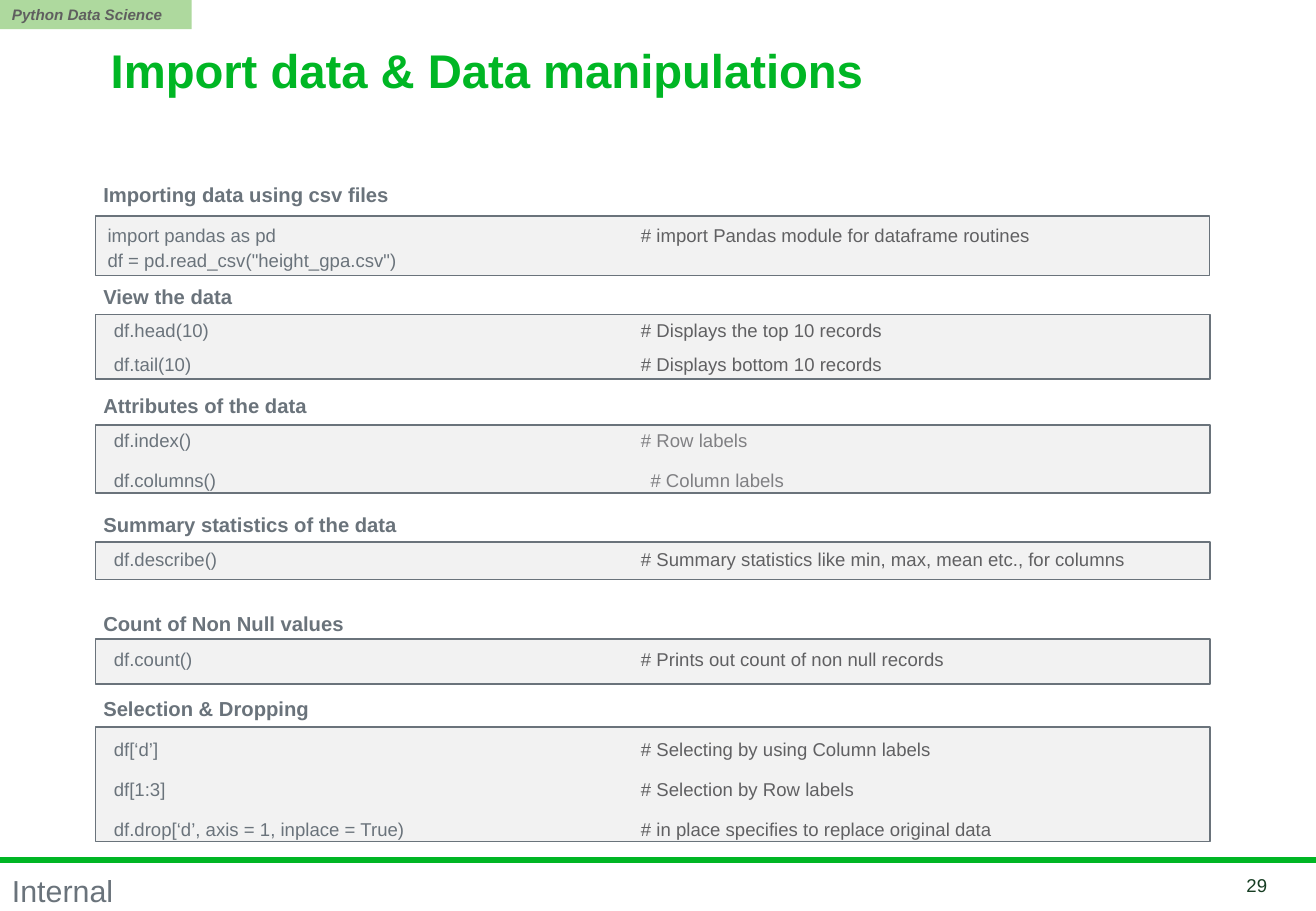
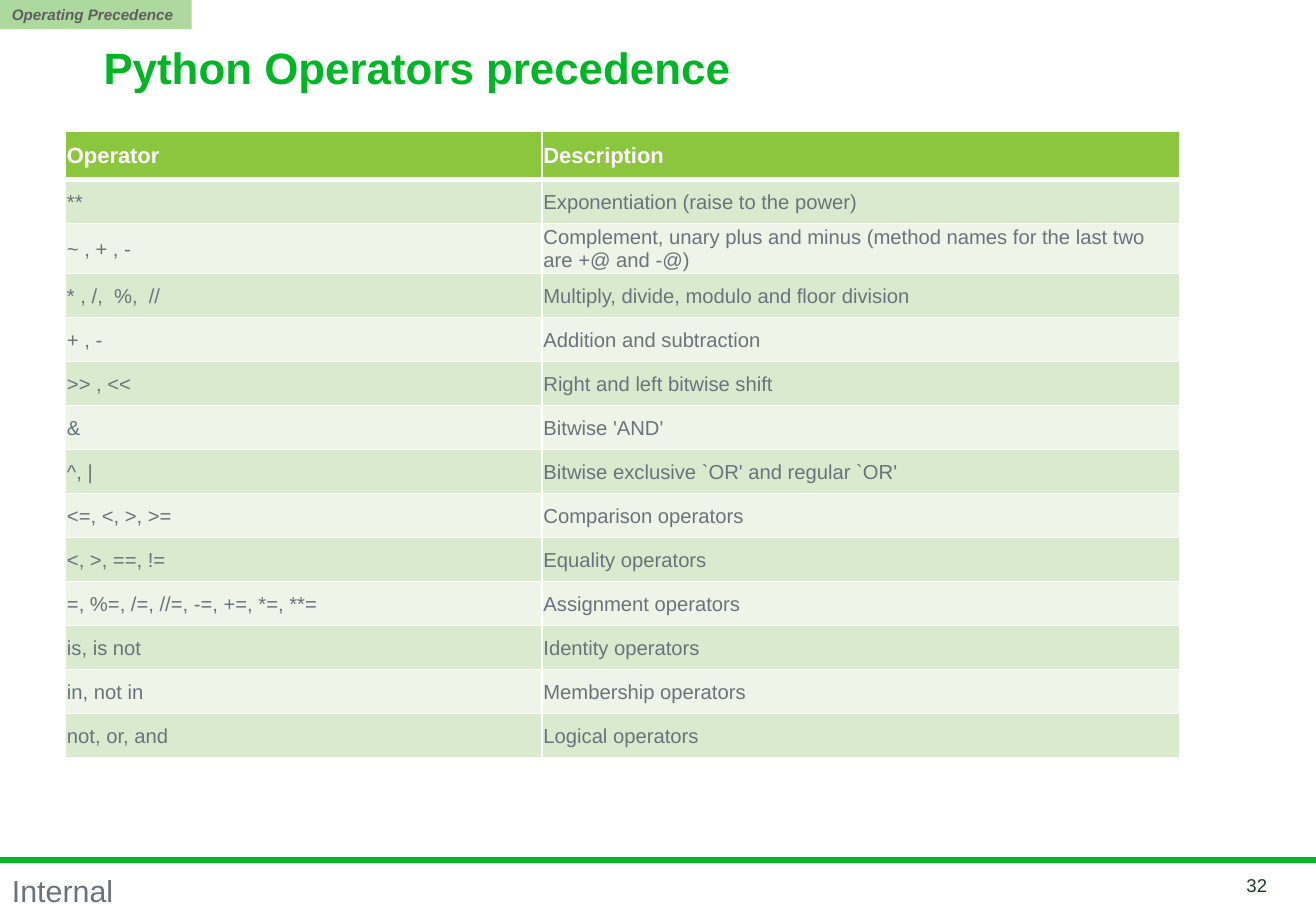
from lxml import etree
from pptx import Presentation
from pptx import util as u
from pptx.dml.color import RGBColor
from pptx.enum import shapes, text
from pptx.oxml.ns import qn

GREEN, GREY, DARK, LIGHT = "00B624", "6A737B", "606062", "808083"
WHITE, PANEL, TAG = "FFFFFF", "F2F2F2", "AED99E"
HEADER, BANDS = "8CC63F", ("DAEACF", "EEF5E8")
WIDTH, HEIGHT = 27.51, 19.05
PANEL_LEFT, PANEL_WIDTH, COMMENT_LEFT = 2.0, 23.29, 13.4

# heading, heading top, panel top, panel height, left inset, top inset, gap, line, comment colour, rows
SECTIONS = [
    ("Importing data using csv files", 3.68, 4.52, 1.24, 0.25, 0.16, 1.5, 0.75, DARK, [
        ("import pandas as pd", "# import Pandas module for dataframe routines"),
        ('df = pd.read_csv("height_gpa.csv")', "")]),
    ("View the data", 5.82, 6.58, 1.35, 0.38, 0.1, 6.9, 1, DARK, [
        ("df.head(10)", "# Displays the top 10 records"),
        ("df.tail(10)", "# Displays bottom 10 records")]),
    ("Attributes of the data", 8.1, 8.89, 1.42, 0.38, 0.08, 10.5, 1, LIGHT, [
        ("df.index()", "# Row labels"),
        ("df.columns()", "# Column labels", 0.2)]),
    ("Summary statistics of the data", 10.59, 11.33, 0.79, 0.38, 0.13, 0, 1, DARK, [
        ("df.describe()", "# Summary statistics like min, max, mean etc., for columns")]),
    ("Count of Non Null values", 12.65, 13.36, 0.94, 0.38, 0.2, 0, 1, DARK, [
        ("df.count()", "# Prints out count of non null records")]),
    ("Selection & Dropping", 14.43, 15.21, 2.39, 0.38, 0.23, 10.5, 1, DARK, [
        ("df[‘d’]", "# Selecting by using Column labels"),
        ("df[1:3]", "# Selection by Row labels"),
        ("df.drop[‘d’, axis = 1, inplace = True)", "# in place specifies to replace original data")]),
]

OPERATORS = [
    ("Operator", "Description"),
    ("**", "Exponentiation (raise to the power)"),
    ("~ , + , -", "Complement, unary plus and minus (method names for the last two are +@ and -@)"),
    ("* , /,  %,  //", "Multiply, divide, modulo and floor division"),
    ("+ , -", "Addition and subtraction"),
    (">> , <<", "Right and left bitwise shift"),
    ("&", "Bitwise 'AND'"),
    ("^, |", "Bitwise exclusive `OR' and regular `OR'"),
    ("<=, <, >, >=", "Comparison operators"),
    ("<, >, ==, !=", "Equality operators"),
    ("=, %=, /=, //=, -=, +=, *=, **=", "Assignment operators"),
    ("is, is not", "Identity operators"),
    ("in, not in", "Membership operators"),
    ("not, or, and", "Logical operators"),
]
COLUMNS = (9.96, 13.33)
ROW_HEIGHTS = {0: 1.01, 2: 1.04}


def rgb(value):
    return RGBColor.from_string(value)


def cm(*values):
    return [u.Cm(v) for v in values]


def style(p, size, color, bold=False, italic=False):
    f = p.font
    f.name, f.size, f.bold, f.italic = "Arial", u.Pt(size), bold, italic
    f.color.rgb = rgb(color)


def add_text(s, box, content, size, color, bold=False, wrap=True):
    tf = s.shapes.add_textbox(*cm(*box)).text_frame
    tf.word_wrap = wrap
    p = tf.paragraphs[0]
    p.text = content
    style(p, size, color, bold)
    return tf


def add_rect(s, box, fill, line=None):
    sp = s.shapes.add_shape(shapes.MSO_SHAPE.RECTANGLE, *cm(*box))
    sp.shadow.inherit = False
    sp.fill.solid()
    sp.fill.fore_color.rgb = rgb(fill)
    if line:
        sp.line.color.rgb = rgb(GREY)
        sp.line.width = u.Pt(line)
    else:
        sp.line.fill.background()
    return sp


def add_slide(prs, title, title_box, title_size, tag, number):
    s = prs.slides.add_slide(prs.slide_layouts[5])
    rule = s.shapes.add_connector(shapes.MSO_CONNECTOR.STRAIGHT, *cm(0, 17.98, WIDTH, 17.98))
    rule.line.color.rgb = rgb(GREEN)
    rule.line.width = u.Pt(3.5)
    etree.SubElement(rule._element.spPr, qn("a:effectLst"))
    tf = add_text(s, (0, 18.16, 2.64, 0.99 - 0.1), "Internal", 18, GREY, wrap=False)
    tf.paragraphs[0].line_spacing = 0.95

    sp = s.shapes.title
    sp.left, sp.top, sp.width, sp.height = cm(*title_box)
    tf = sp.text_frame
    tf.text = title
    tf.auto_size = text.MSO_AUTO_SIZE.NONE
    tf.vertical_anchor = text.MSO_ANCHOR.MIDDLE
    p = tf.paragraphs[0]
    p.alignment = text.PP_ALIGN.LEFT
    p.line_spacing = 0.85
    style(p, title_size, GREEN, True)

    tf = add_rect(s, (0, 0, 4.01, 0.61), TAG).text_frame
    tf.text = tag
    tf.margin_top = tf.margin_bottom = 0
    tf.paragraphs[0].alignment = text.PP_ALIGN.LEFT
    style(tf.paragraphs[0], 9, "5F5F5F", True, True)

    tf = add_text(s, (24.66, 18.26, 2.08, 0.51), number, 11, "163D22")
    tf.margin_top = tf.margin_bottom = 0
    tf.vertical_anchor = text.MSO_ANCHOR.MIDDLE
    tf.paragraphs[0].alignment = text.PP_ALIGN.RIGHT
    return s


def add_section(s, heading, heading_top, top, height, inset, inset_top, gap, line, color, rows):
    add_text(s, (1.91, heading_top, PANEL_WIDTH, 0.76), heading, 12, GREY, True)
    tf = add_rect(s, (PANEL_LEFT, top, PANEL_WIDTH, height), PANEL, line).text_frame
    tf.vertical_anchor = text.MSO_ANCHOR.TOP
    tf.margin_left, tf.margin_top, tf.margin_bottom = cm(inset, inset_top, 0)
    for i, (code, comment, *shift) in enumerate(rows):
        p = tf.paragraphs[0] if i == 0 else tf.add_paragraph()
        p.alignment = text.PP_ALIGN.LEFT
        if i:
            p.space_before = u.Pt(gap)
        tabs = etree.SubElement(p._p.get_or_add_pPr(), qn("a:tabLst"))
        tab = u.Cm(COMMENT_LEFT - PANEL_LEFT - inset + sum(shift))
        etree.SubElement(tabs, qn("a:tab"), pos=str(tab), algn="l")
        style(p, 11, GREY)
        p.add_run().text = code
        if comment:
            r = p.add_run()
            r.text = "\t" + comment
            r.font.color.rgb = rgb(color)


def set_borders(cell, bottom):
    pr = cell._tc.get_or_add_tcPr()
    for i, (side, width) in enumerate((("L", 1), ("R", 1), ("T", 1), ("B", bottom))):
        ln = etree.Element(qn("a:ln" + side), w=str(u.Pt(width)))
        fill = etree.SubElement(ln, qn("a:solidFill"))
        etree.SubElement(fill, qn("a:srgbClr"), val=WHITE)
        pr.insert(i, ln)


def add_operators(s):
    heights = [ROW_HEIGHTS.get(i, 0.92) for i in range(len(OPERATORS))]
    box = cm(1.37, 2.74, sum(COLUMNS), sum(heights))
    table = s.shapes.add_table(len(OPERATORS), len(COLUMNS), *box).table
    for column, width in zip(table.columns, COLUMNS):
        column.width = u.Cm(width)
    for i, values in enumerate(OPERATORS):
        table.rows[i].height = u.Cm(heights[i])
        for j, value in enumerate(values):
            cell = table.cell(i, j)
            cell.text = value
            cell.vertical_anchor = text.MSO_ANCHOR.MIDDLE
            cell.margin_left = cell.margin_right = cell.margin_top = u.Cm(0.03)
            cell.margin_bottom = 0
            cell.fill.solid()
            cell.fill.fore_color.rgb = rgb(BANDS[(i - 1) % 2] if i else HEADER)
            set_borders(cell, 1 if i else 3)
            p = cell.text_frame.paragraphs[0]
            style(p, 12 if i else 13, GREY if i else WHITE, i == 0)


def main():
    prs = Presentation()
    prs.slide_width, prs.slide_height = cm(WIDTH, HEIGHT)
    s = add_slide(prs, "Import data & Data manipulations", (2.06, 0.43, 20.4, 2.24), 28,
                  "Python Data Science", "29")
    for section in SECTIONS:
        add_section(s, *section)
    s = add_slide(prs, "Python Operators precedence", (1.91, 1.07, 21.95, 0.84), 26,
                  "Operating Precedence", "32")
    add_operators(s)
    prs.save("out.pptx")


if __name__ == "__main__":
    main()
